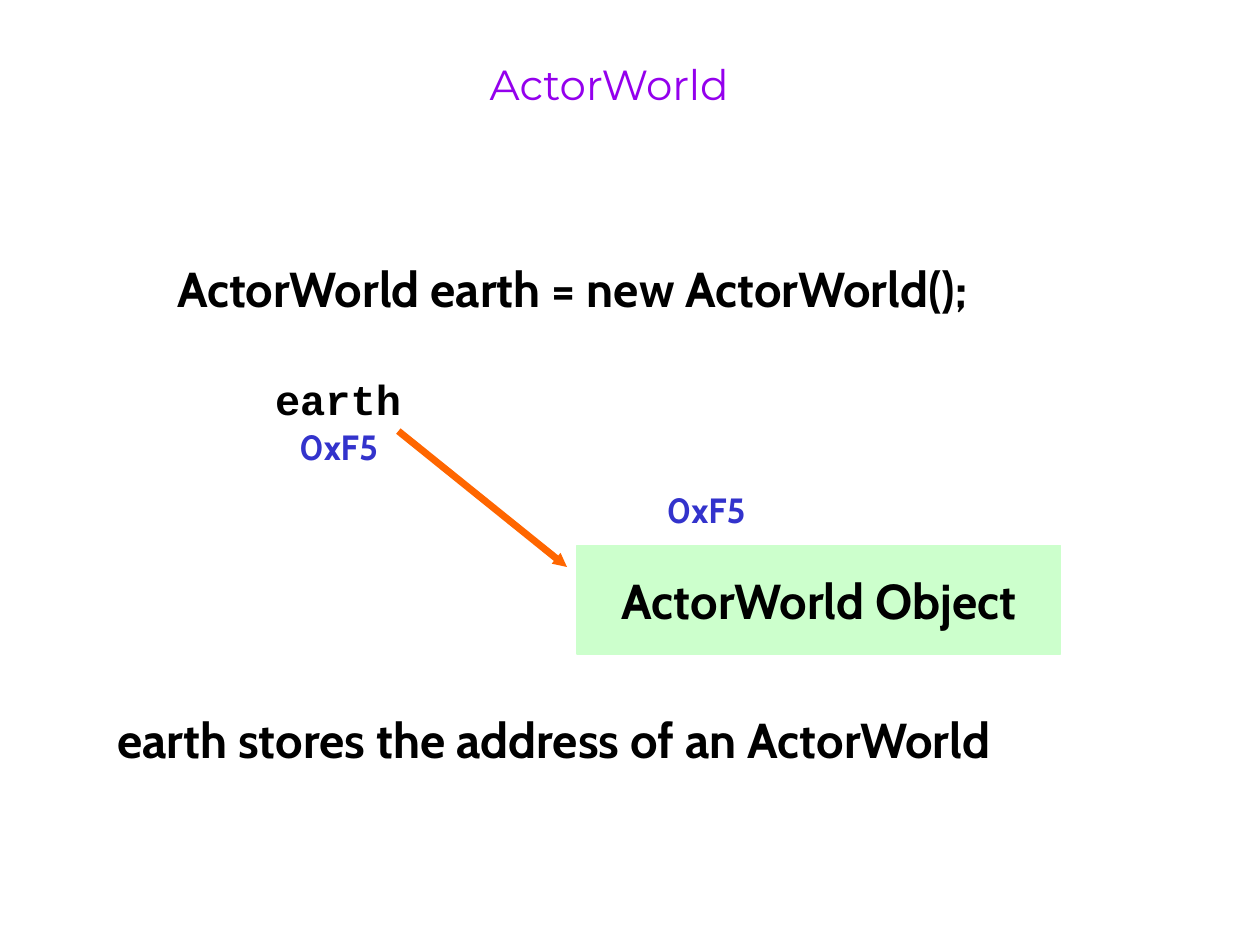
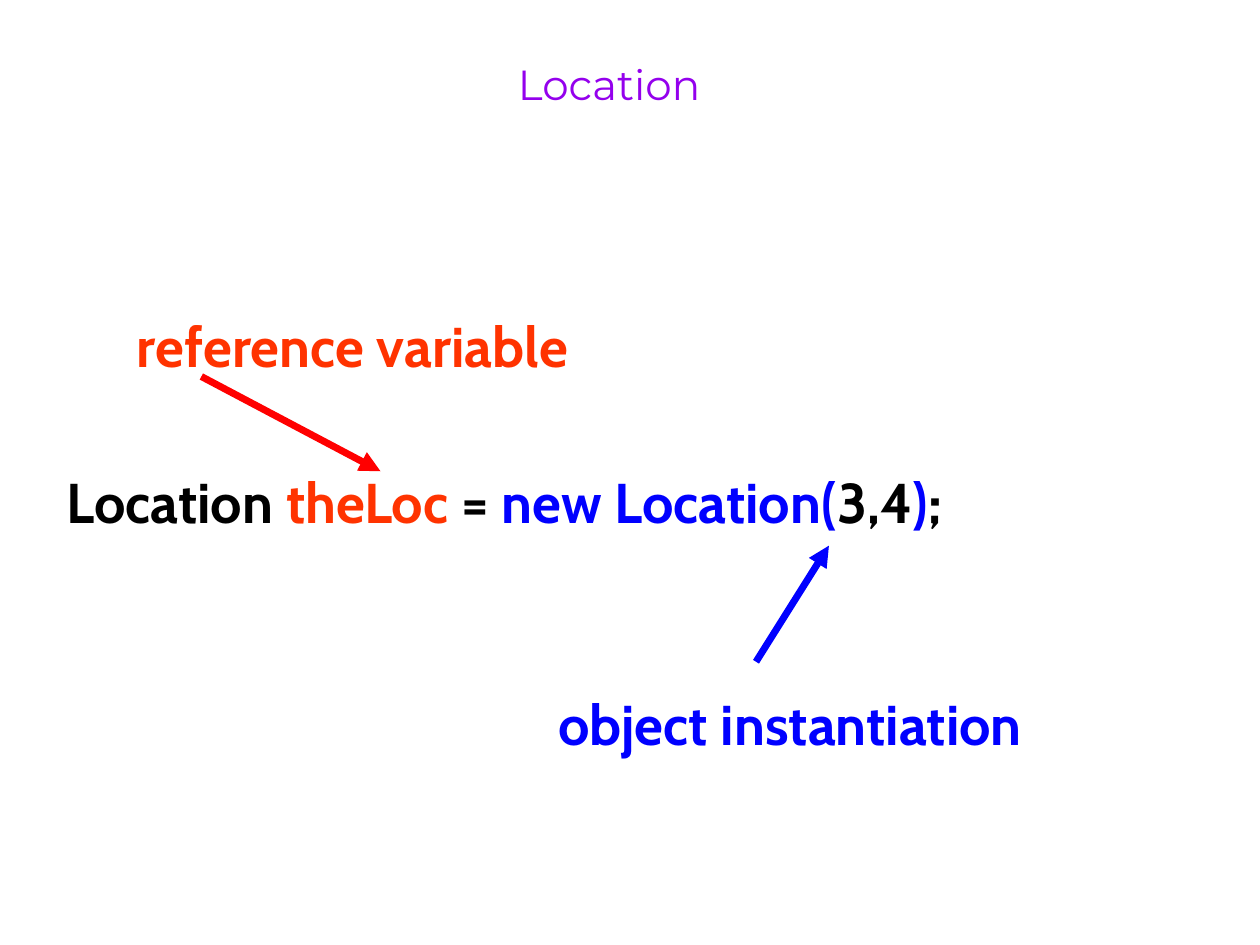
"""Build two slides on object references and instantiation."""
from lxml import etree
from pptx import Presentation
from pptx.dml.color import RGBColor
from pptx.enum.shapes import MSO_CONNECTOR, MSO_SHAPE
from pptx.enum.text import MSO_ANCHOR, MSO_AUTO_SIZE, PP_ALIGN
from pptx.oxml.ns import qn
from pptx.util import Cm, Pt

STRAIGHT, RECT = MSO_CONNECTOR.STRAIGHT, MSO_SHAPE.RECTANGLE
TOP, MIDDLE = MSO_ANCHOR.TOP, MSO_ANCHOR.MIDDLE
LEFT, CENTER = PP_ALIGN.LEFT, PP_ALIGN.CENTER
NO_FIT = MSO_AUTO_SIZE.NONE

BLACK = RGBColor(0x00, 0x00, 0x00)
WHITE = RGBColor(0xFF, 0xFF, 0xFF)
PURPLE = RGBColor(0x94, 0x00, 0xED)
INDIGO = RGBColor(0x33, 0x33, 0xCC)
BLUE = RGBColor(0x00, 0x00, 0xFF)
RED = RGBColor(0xFF, 0x00, 0x00)
VERMILION = RGBColor(0xFF, 0x33, 0x00)
ORANGE = RGBColor(0xFF, 0x66, 0x00)
GREEN = RGBColor(0xCC, 0xFF, 0xCC)

TITLE_FONT, BODY_FONT, CODE_FONT = "Montserrat", "Cabin", "Courier New"


def add_text(s, box, runs, size, font=BODY_FONT, align=LEFT, anchor=TOP, fill=None):
    x, y, w, h = (Cm(v) for v in box)
    if fill is None:
        sp = s.shapes.add_textbox(x, y, w, h)
    else:
        sp = s.shapes.add_shape(RECT, x, y, w, h)
        sp.shadow.inherit = False
        sp.fill.solid()
        sp.fill.fore_color.rgb = fill
        sp.line.color.rgb = fill
        sp.line.width = Pt(1)
    tf = sp.text_frame
    tf.word_wrap = align == LEFT
    tf.vertical_anchor = anchor
    p = tf.paragraphs[0]
    p.alignment = align
    for text, color in runs:
        r = p.add_run()
        r.text = text
        r.font.name, r.font.size, r.font.bold = font, Pt(size), True
        r.font.color.rgb = color


def add_arrow(s, start, end, color, head):
    cx = s.shapes.add_connector(STRAIGHT, *(Cm(v) for v in start + end))
    cx.line.color.rgb = color
    cx.line.width = Pt(4)
    etree.SubElement(cx.line._get_or_add_ln(), qn("a:tailEnd"),
                     type="triangle", w=head, len=head)
    etree.SubElement(cx._element.spPr, qn("a:effectLst"))


prs = Presentation()
prs.slide_width, prs.slide_height = Cm(25.4), Cm(19.05)

slides = []
for title in ("ActorWorld", "Location"):
    s = prs.slides.add_slide(prs.slide_layouts[5])
    sp = s.shapes.title
    sp.left, sp.top, sp.width, sp.height = Cm(2.33), Cm(1.06), Cm(19.9), Cm(2.54)
    tf = sp.text_frame
    tf.auto_size, tf.vertical_anchor = NO_FIT, TOP
    p = tf.paragraphs[0]
    p.alignment = CENTER
    r = p.add_run()
    r.text = title
    r.font.name, r.font.size = TITLE_FONT, Pt(24)
    r.font.color.rgb = PURPLE
    slides.append(s)

world, location = slides

add_text(world, (5.29, 7.41, 3.05, 2.28), [("earth", BLACK)], 24, CODE_FONT, CENTER)
add_text(world, (11.64, 11, 9.74, 2.18), [("ActorWorld Object", BLACK)], 28,
         align=CENTER, anchor=MIDDLE, fill=GREEN)
add_text(world, (3.1, 5.08, 19.3, 1.45),
         [(" ActorWorld earth = new ActorWorld();", BLACK)], 28)
add_arrow(world, (8.03, 8.69), (11.43, 11.43), ORANGE, "sm")
for x, y in ((5.77, 8.46), (13.18, 9.73)):
    add_text(world, (x, y, 2.11, 1.12), [("0xF5", INDIGO)], 20, align=CENTER)
add_text(world, (2.11, 14.17, 21.8, 1.45),
         [("earth stores the address of an ActorWorld", BLACK)], 28)

statement = [("Location ", BLACK), ("theLoc", VERMILION), (" = ", BLACK),
             ("new Location(", BLUE), ("3,4", BLACK), (")", BLUE), (";", BLACK)]
add_text(location, (1.09, 9.3, 23.5, 4.32), statement, 32, fill=WHITE)
add_arrow(location, (4.06, 7.59), (7.67, 9.5), RED, "med")
add_text(location, (2.51, 6.15, 10.85, 1.63), [("reference variable", VERMILION)], 32)
add_arrow(location, (15.24, 13.34), (16.71, 11), BLUE, "med")
add_text(location, (11, 13.77, 11.66, 1.63), [("object instantiation", BLUE)], 32)

prs.save("out.pptx")
